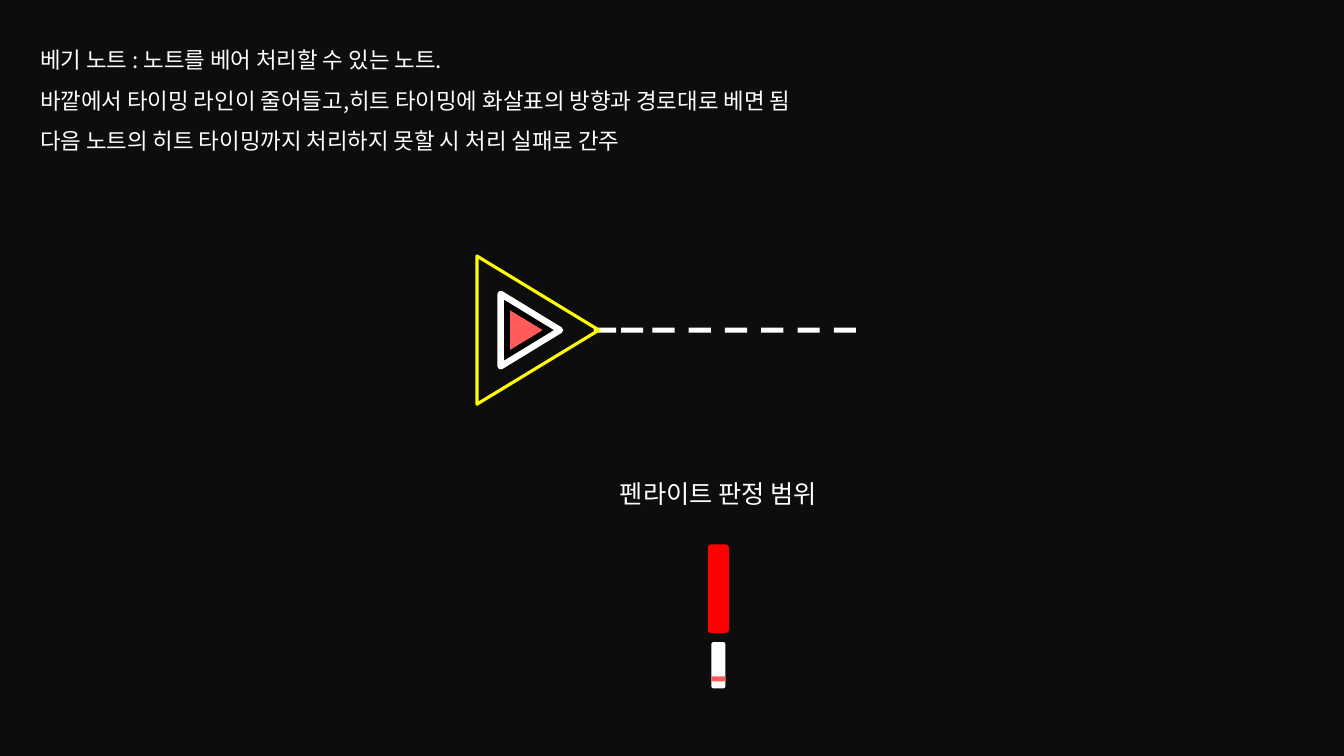
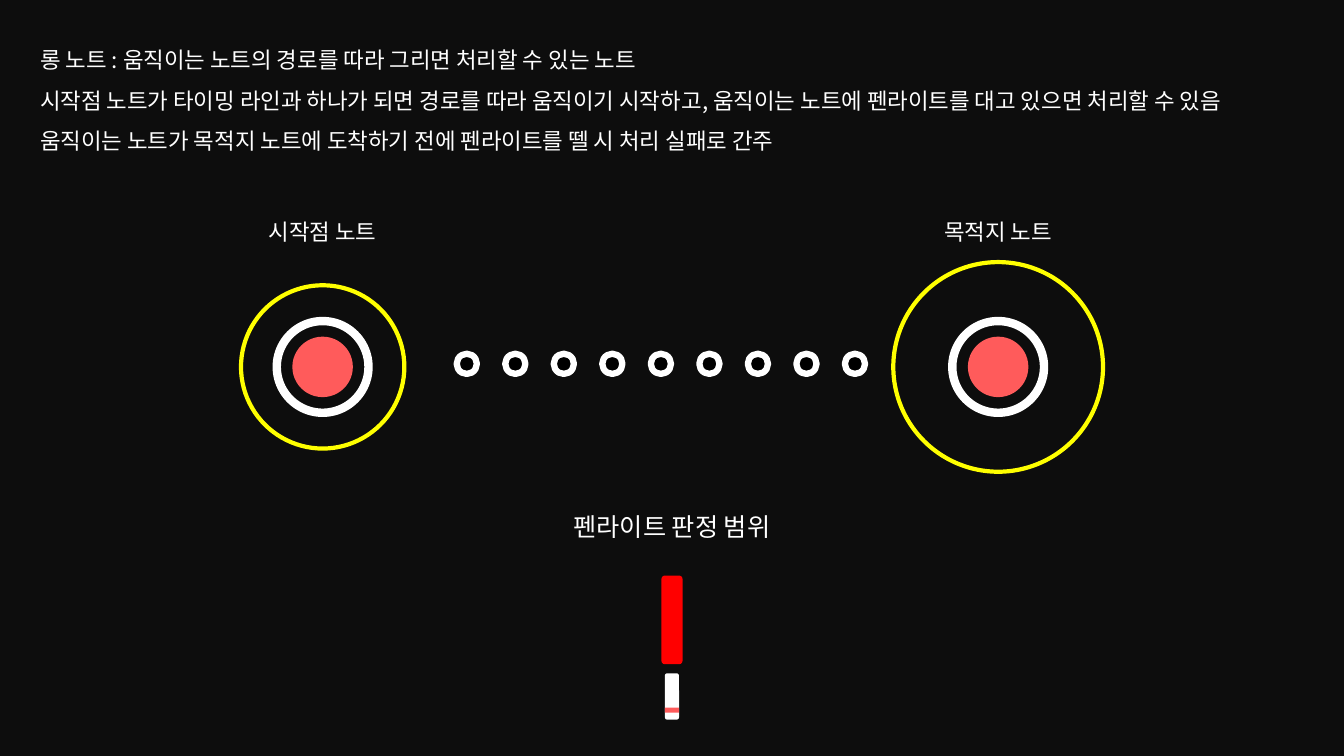
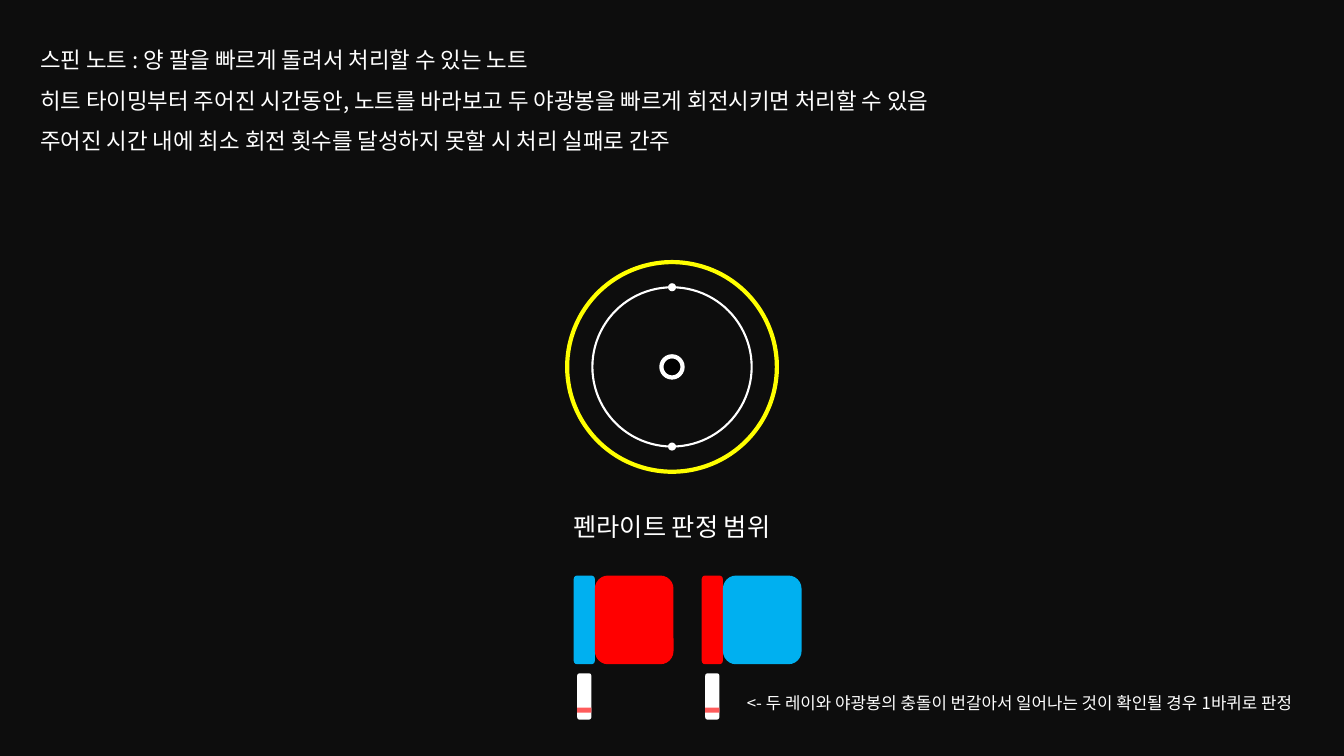
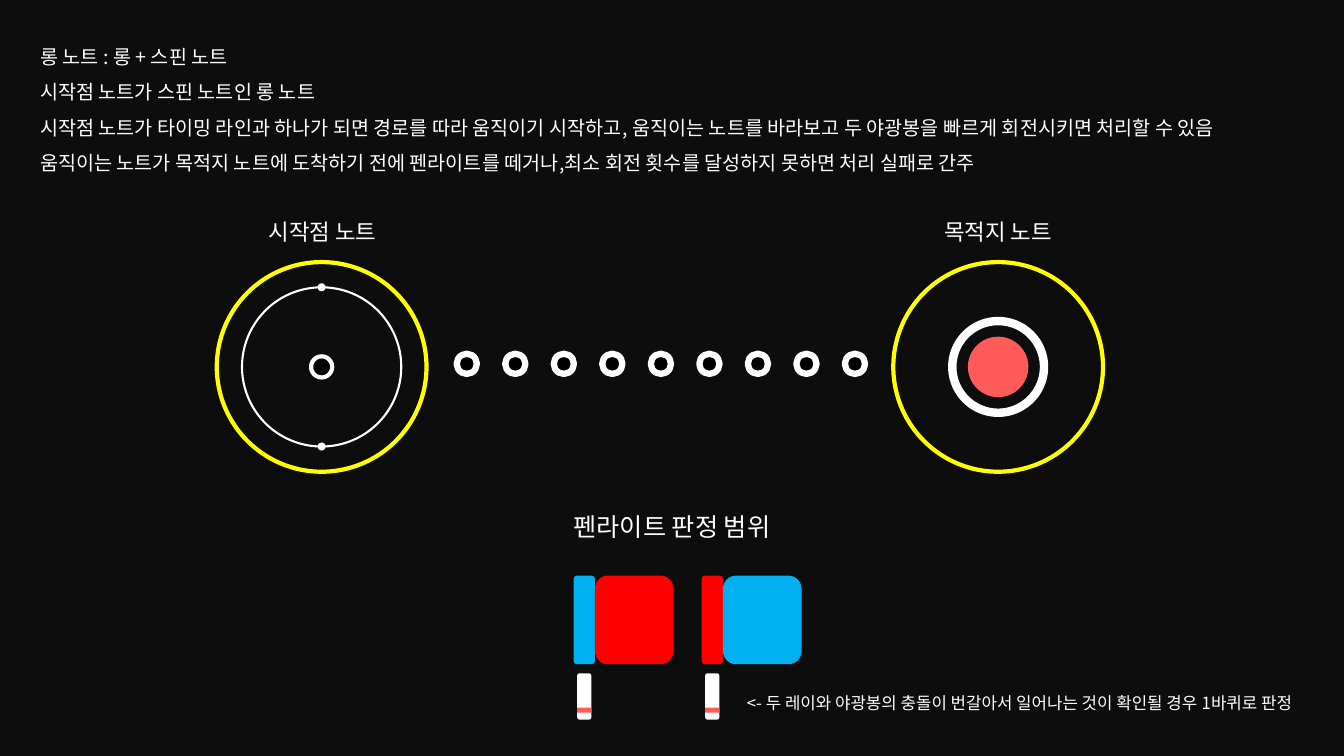
"""Build four slides that explain the note types of a penlight rhythm game."""
from lxml import etree
from pptx import Presentation
from pptx.dml.color import RGBColor
from pptx.enum.shapes import MSO_SHAPE
from pptx.enum.text import MSO_AUTO_SIZE, PP_ALIGN
from pptx.oxml.ns import qn
from pptx.util import Inches, Pt

OVAL = MSO_SHAPE.OVAL
RECT = MSO_SHAPE.RECTANGLE
ROUNDED = MSO_SHAPE.ROUNDED_RECTANGLE
TRIANGLE = MSO_SHAPE.ISOSCELES_TRIANGLE
LEFT = PP_ALIGN.LEFT
CENTER = PP_ALIGN.CENTER
GROW = MSO_AUTO_SIZE.SHAPE_TO_FIT_TEXT

FONT = "Noto Sans CJK KR"
BACKDROP = "0D0D0D"
BLACK = "000000"
WHITE = "FFFFFF"
YELLOW = "FFFF00"
CORAL = "FF5B5B"
RED = "FF0000"
BLUE = "00B0F0"

NOTE_Y = 3.64
START_X = 3.2
GOAL_X = 9.9
MIDDLE = 6.665
PENLIGHT_TOP = 5.71


def rgb(value):
    return RGBColor.from_string(value)


class NoteDeck:
    def __init__(self):
        self.deck = Presentation()
        self.deck.slide_width = Inches(13.33)
        self.deck.slide_height = Inches(7.5)
        self.slide = None

    def new_slide(self):
        self.slide = self.deck.slides.add_slide(self.deck.slide_layouts[6])
        backdrop = self.slide.background.fill
        backdrop.solid()
        backdrop.fore_color.rgb = rgb(BACKDROP)

    def text(self, lines, left, top, width, height, size, align=LEFT):
        box = self.slide.shapes.add_textbox(
            Inches(left), Inches(top), Inches(width), Inches(height))
        frame = box.text_frame
        frame.word_wrap = True
        frame.auto_size = GROW
        for index, line in enumerate(lines):
            paragraph = frame.paragraphs[0] if index == 0 else frame.add_paragraph()
            paragraph.alignment = align
            paragraph.line_spacing = 1.5
            run = paragraph.add_run()
            run.text = line
            run.font.size = Pt(size)
            run.font.name = FONT
            run.font.color.rgb = rgb(WHITE)
            east_asian = etree.SubElement(run.font._element, qn("a:ea"))
            east_asian.set("typeface", FONT)

    def description(self, lines, size=16, width=12.38, height=1.27):
        self.text(lines, 0.3, 0.28, width, height, size)

    def shape(self, kind, left, top, width, height, fill=None, line=None, weight=0):
        shape = self.slide.shapes.add_shape(
            kind, Inches(left), Inches(top), Inches(width), Inches(height))
        shape.shadow.inherit = False
        if fill:
            shape.fill.solid()
            shape.fill.fore_color.rgb = rgb(fill)
        else:
            shape.fill.background()
        if line:
            shape.line.color.rgb = rgb(line)
            shape.line.width = Pt(weight)
        else:
            shape.line.fill.background()
        return shape

    def circle(self, x, y, diameter, fill=None, line=None, weight=0):
        radius = diameter / 2
        self.shape(OVAL, x - radius, y - radius, diameter, diameter, fill, line, weight)

    def arrowhead(self, x, y, base, length, fill=None, line=None, weight=0):
        arrowhead = self.shape(
            TRIANGLE, x - base / 2, y - length / 2, base, length, fill, line, weight)
        arrowhead.rotation = 90

    def dashes(self, lefts, y):
        for left in lefts:
            self.shape(RECT, left, y - 0.025, 0.22, 0.05, WHITE)

    def trail(self, first=4.63, last=8.48, count=9):
        step = (last - first) / (count - 1)
        for index in range(count):
            self.circle(first + index * step, 3.61, 0.2, BLACK, WHITE, 4.5)

    def point_note(self, x, timing_diameter):
        self.circle(x, NOTE_Y, 0.6, CORAL)
        self.circle(x, NOTE_Y, 0.91, line=WHITE, weight=6)
        self.circle(x, NOTE_Y, timing_diameter, line=YELLOW, weight=3)

    def spin_note(self, x):
        orbit = 1.58
        self.circle(x, NOTE_Y, 0.21, BLACK, WHITE, 3)
        self.circle(x, NOTE_Y, orbit, line=WHITE, weight=1.5)
        self.circle(x, NOTE_Y, 2.08, line=YELLOW, weight=3)
        for side in (-1, 1):
            self.circle(x, NOTE_Y + side * orbit / 2, 0.08, WHITE)

    def end_labels(self):
        for name, x in (("시작점 노트", START_X), ("목적지 노트", GOAL_X)):
            self.text([name], x - 0.88, 1.98, 1.76, 0.47, 16, CENTER)

    def range_label(self, x=MIDDLE, top=4.87):
        self.text(["펜라이트 판정 범위"], x - 1.485, top, 2.97, 0.51, 18, CENTER)

    def penlight(self, x, top, color, ray=None):
        self.shape(ROUNDED, x - 0.105, top, 0.21, 0.88, color)
        self.shape(ROUNDED, x - 0.07, top + 0.97, 0.14, 0.46, WHITE)
        self.shape(RECT, x - 0.07, top + 1.31, 0.14, 0.05, CORAL)
        if ray:
            self.shape(ROUNDED, x + 0.105, top, 0.78, 0.88, ray)

    def spin_range(self):
        self.range_label()
        self.penlight(7.065, PENLIGHT_TOP, RED, BLUE)
        self.penlight(5.795, PENLIGHT_TOP, BLUE, RED)
        self.text(["<- 두 레이와 야광봉의 충돌이 번갈아서 일어나는 것이 확인될 경우 1바퀴로 판정"],
                  7.31, 6.72, 6, 0.37, 12)

    def slash_slide(self):
        self.new_slide()
        self.description([
            "베기 노트 : 노트를 베어 처리할 수 있는 노트.",
            "바깥에서 타이밍 라인이 줄어들고,히트 타이밍에 화살표의 방향과 경로대로 베면 됨",
            "다음 노트의 히트 타이밍까지 처리하지 못할 시 처리 실패로 간주",
        ], width=11.14, height=1.32)
        self.range_label(7.125, 4.55)
        self.penlight(7.125, 5.4, RED)
        arrow_y = 3.275
        self.arrowhead(5.235, arrow_y, 0.51, 0.42, CORAL, BLACK, 4.5)
        self.arrowhead(5.26, arrow_y, 0.72, 0.59, line=WHITE, weight=4.5)
        self.dashes([5.89, 6.16] + [6.47 + 0.36 * index for index in range(6)], arrow_y)
        self.arrowhead(5.335, arrow_y, 1.47, 1.21, line=YELLOW, weight=2.25)

    def long_slide(self):
        self.new_slide()
        self.description([
            "롱 노트 : 움직이는 노트의 경로를 따라 그리면 처리할 수 있는 노트",
            "시작점 노트가 타이밍 라인과 하나가 되면 경로를 따라 움직이기 시작하고, "
            "움직이는 노트에 펜라이트를 대고 있으면 처리할 수 있음",
            "움직이는 노트가 목적지 노트에 도착하기 전에 펜라이트를 뗄 시 처리 실패로 간주",
        ])
        self.range_label()
        self.penlight(MIDDLE, PENLIGHT_TOP, RED)
        self.point_note(START_X, 1.62)
        self.trail()
        self.point_note(GOAL_X, 2.08)
        self.end_labels()

    def spin_slide(self):
        self.new_slide()
        self.description([
            "스핀 노트 : 양 팔을 빠르게 돌려서 처리할 수 있는 노트",
            "히트 타이밍부터 주어진 시간동안, 노트를 바라보고 두 야광봉을 빠르게 "
            "회전시키면 처리할 수 있음",
            "주어진 시간 내에 최소 회전 횟수를 달성하지 못할 시 처리 실패로 간주",
        ])
        self.spin_note(MIDDLE)
        self.spin_range()

    def long_spin_slide(self):
        self.new_slide()
        self.description([
            "롱 노트 : 롱 + 스핀 노트",
            "시작점 노트가 스핀 노트인 롱 노트",
            "시작점 노트가 타이밍 라인과 하나가 되면 경로를 따라 움직이기 시작하고, "
            "움직이는 노트를 바라보고 두 야광봉을 빠르게 회전시키면 처리할 수 있음",
            "움직이는 노트가 목적지 노트에 도착하기 전에 펜라이트를 떼거나,"
            "최소 회전 횟수를 달성하지 못하면 처리 실패로 간주",
        ], size=14, height=1.48)
        self.trail()
        self.point_note(GOAL_X, 2.08)
        self.end_labels()
        self.spin_note(3.19)
        self.spin_range()


notes = NoteDeck()
notes.slash_slide()
notes.long_slide()
notes.spin_slide()
notes.long_spin_slide()
notes.deck.save("out.pptx")
